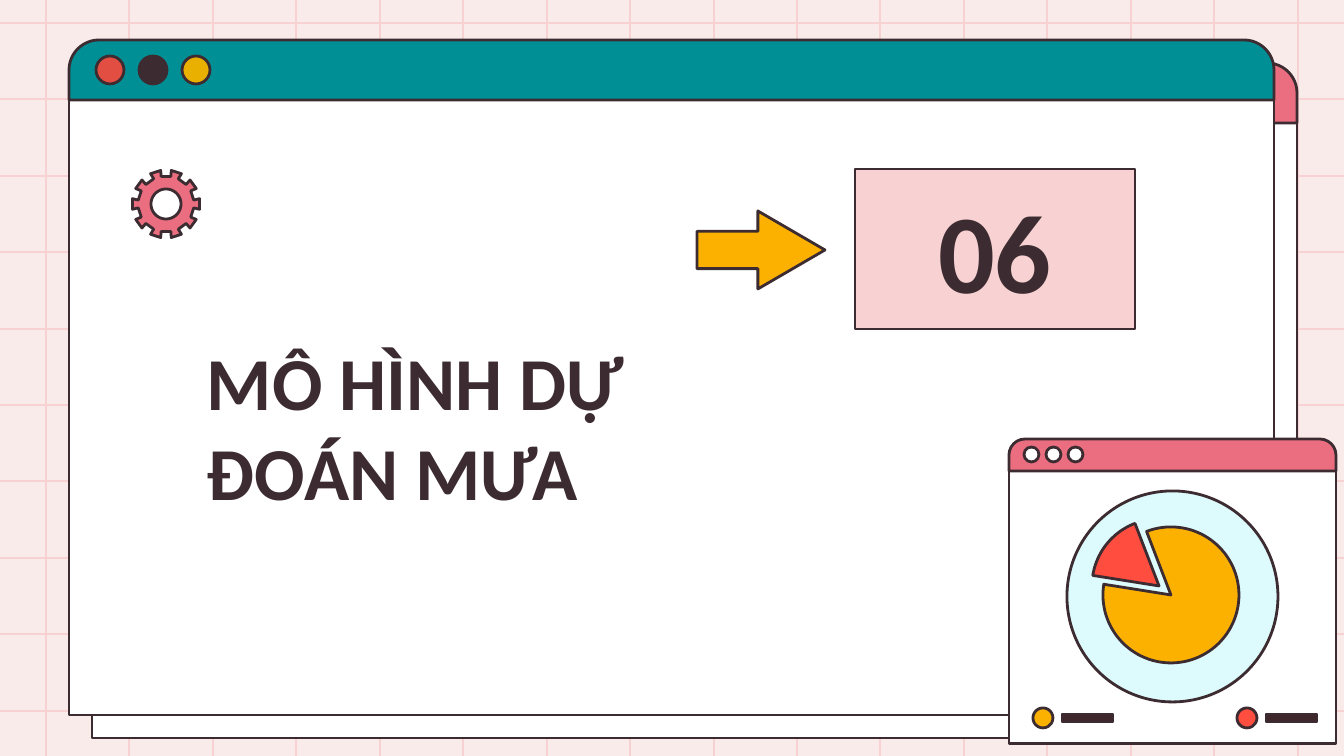
"""Build the section slide about the rain prediction model."""
from math import cos, radians, sin

from lxml.etree import SubElement
from pptx import Presentation
from pptx.dml.color import RGBColor
from pptx.enum.shapes import MSO_CONNECTOR as Connector, MSO_SHAPE as Shape
from pptx.enum.text import MSO_ANCHOR as Anchor, MSO_AUTO_SIZE as AutoSize, PP_ALIGN as Align
from pptx.oxml.ns import qn
from pptx.util import Emu, Pt

WIDTH, HEIGHT = 1344, 756
SCALE = 914400 / 134.4
COLORS = {
    "backdrop": "FAEBEB", "blush": "F8D2D2", "ink": "3C2C31", "white": "FFFFFF",
    "teal": "008F95", "pink": "EB6E80", "brick": "E24E42", "gold": "E9B000",
    "amber": "FCB100", "red": "FF4D3F", "ice": "DDFBFC", "bar": "3E282C",
}


def px(length):
    return Emu(round(length * SCALE))


def rgb(name):
    return RGBColor.from_string(COLORS[name])


def polar(center, radius, degrees):
    angle = radians(degrees)
    return center[0] + radius * cos(angle), center[1] + radius * sin(angle)


class Canvas:
    def __init__(self, slide, font="Calibri", stroke=1.5):
        self.slide, self.font, self.stroke = slide, font, Pt(stroke)
        slide.background.fill.solid()
        slide.background.fill.fore_color.rgb = rgb("backdrop")

    def paint(self, item, fill):
        item.fill.solid()
        item.fill.fore_color.rgb = rgb(fill)
        item.line.color.rgb = rgb("ink")
        item.line.width = self.stroke

    def shape(self, kind, left, top, width, height, fill, adjustments=()):
        item = self.slide.shapes.add_shape(kind, px(left), px(top), px(width), px(height))
        for index, value in enumerate(adjustments):
            item.adjustments[index] = value
        item.shadow.inherit = False
        self.paint(item, fill)

    def circle(self, left, top, size, fill):
        self.shape(Shape.OVAL, left, top, size, size, fill)

    def grid_line(self, x1, y1, x2, y2):
        line = self.slide.shapes.add_connector(
            Connector.STRAIGHT, px(x1), px(y1), px(x2), px(y2))
        line.line.color.rgb = rgb("blush")
        line.line.width = self.stroke
        SubElement(line.element.spPr, qn("a:effectLst"))

    def outline(self, contours, fill):
        scaled = [[(px(x), px(y)) for x, y in contour] for contour in contours]
        builder = self.slide.shapes.build_freeform(*scaled[0][0], scale=1.0)
        for index, contour in enumerate(scaled):
            if index:
                builder.move_to(*contour[0])
            builder.add_line_segments(contour[1:], close=True)
        item = builder.convert_to_shape()
        item.shadow.inherit = False
        self.paint(item, fill)

    def sector(self, center, radius, start, end, fill, steps=90):
        arc = [polar(center, radius, start + (end - start) * i / steps)
               for i in range(steps + 1)]
        self.outline([[center] + arc], fill)

    def gear(self, center, outer, root, hole, teeth, fill):
        profile = ((root, -8), (outer, -9), (outer, 9), (root, 8))
        rim = [polar(center, radius, 360 / teeth * tooth + offset)
               for tooth in range(teeth) for radius, offset in profile]
        bore = [polar(center, hole, -angle) for angle in range(0, 360, 6)]
        self.outline([rim, bore], fill)

    def window(self, left, top, width, header, body, fill, dots, inset, size, step):
        self.shape(Shape.RECTANGLE, left, top + header, width, body, "white")
        self.shape(Shape.ROUND_2_SAME_RECTANGLE, left, top, width, header, fill, (0.5, 0))
        for index, dot in enumerate(dots):
            self.circle(left + inset + index * step, top + (header - size) // 2, size, dot)

    def placeholder(self, holder, text, box, size, anchor, align, fill=None):
        self.slide.shapes.element.append(holder.element)
        holder.left, holder.top, holder.width, holder.height = map(px, box)
        if fill:
            self.paint(holder, fill)
        frame = holder.text_frame
        frame.text = text
        frame.word_wrap = True
        frame.auto_size = AutoSize.NONE
        frame.vertical_anchor = anchor
        frame.margin_left = frame.margin_right = px(13)
        frame.margin_top = frame.margin_bottom = px(13)
        paragraph = frame.paragraphs[0]
        paragraph.alignment = align
        paragraph.space_before = Pt(0)
        paragraph.font.name = self.font
        paragraph.font.size = Pt(size)
        paragraph.font.bold = True
        paragraph.font.color.rgb = rgb("ink")


def main():
    deck = Presentation()
    deck.slide_width, deck.slide_height = px(WIDTH), px(HEIGHT)
    slide = deck.slides.add_slide(deck.slide_layouts[0])
    canvas = Canvas(slide)

    for column in range(16):
        x = round(46 + 83.45 * column)
        canvas.grid_line(x, 0, x, HEIGHT)
    for row in range(10):
        y = round(23 + 76.4 * row)
        canvas.grid_line(0, y, WIDTH, y)

    for shift, header_fill in ((23, "pink"), (0, "teal")):
        canvas.window(69 + shift, 40 + shift, 1205, 60, 615, header_fill,
                      ("brick", "ink", "gold"), inset=27, size=28, step=43)

    canvas.placeholder(slide.shapes.title, "MÔ HÌNH DỰ ĐOÁN MƯA", (194, 309, 580, 219),
                       40, Anchor.BOTTOM, Align.LEFT)
    canvas.placeholder(slide.placeholders[1], "06", (855, 169, 280, 160),
                       60, Anchor.MIDDLE, Align.CENTER, "blush")
    canvas.shape(Shape.RIGHT_ARROW, 697, 211, 128, 78, "amber", (0.48, 0.86))

    canvas.window(1009, 439, 327, 32, 273, "pink", ("white",) * 3,
                  inset=15, size=15, step=22)
    for legend_left, legend_fill in ((1033, "amber"), (1237, "red")):
        canvas.shape(Shape.RECTANGLE, legend_left + 29, 714, 51, 8, "bar")
        canvas.circle(legend_left, 708, 20, legend_fill)
    canvas.circle(1067, 491, 211, "ice")
    canvas.sector((1171, 595), 68, 249, 549, "amber")
    canvas.sector((1159, 586), 67, 189, 249, "red")
    canvas.gear((166, 204), outer=34, root=28, hole=15, teeth=10, fill="pink")

    deck.save("out.pptx")


if __name__ == "__main__":
    main()
